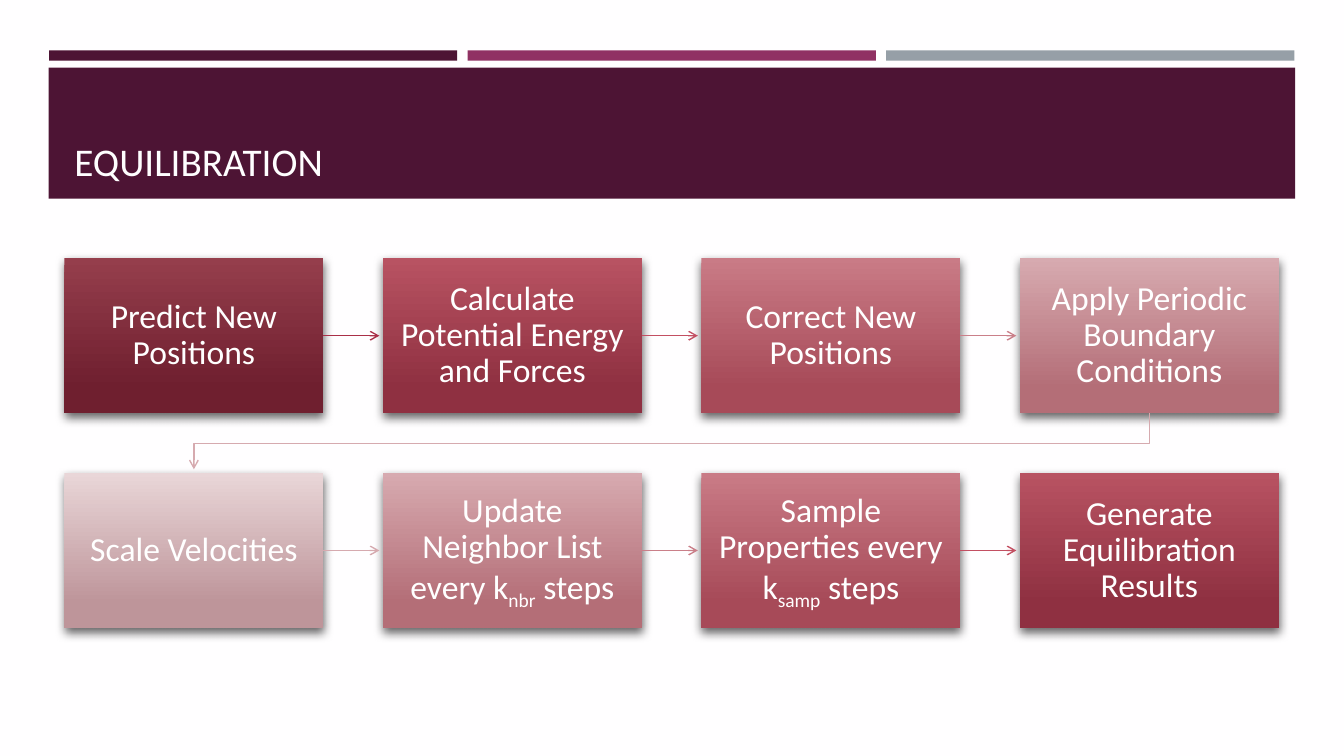
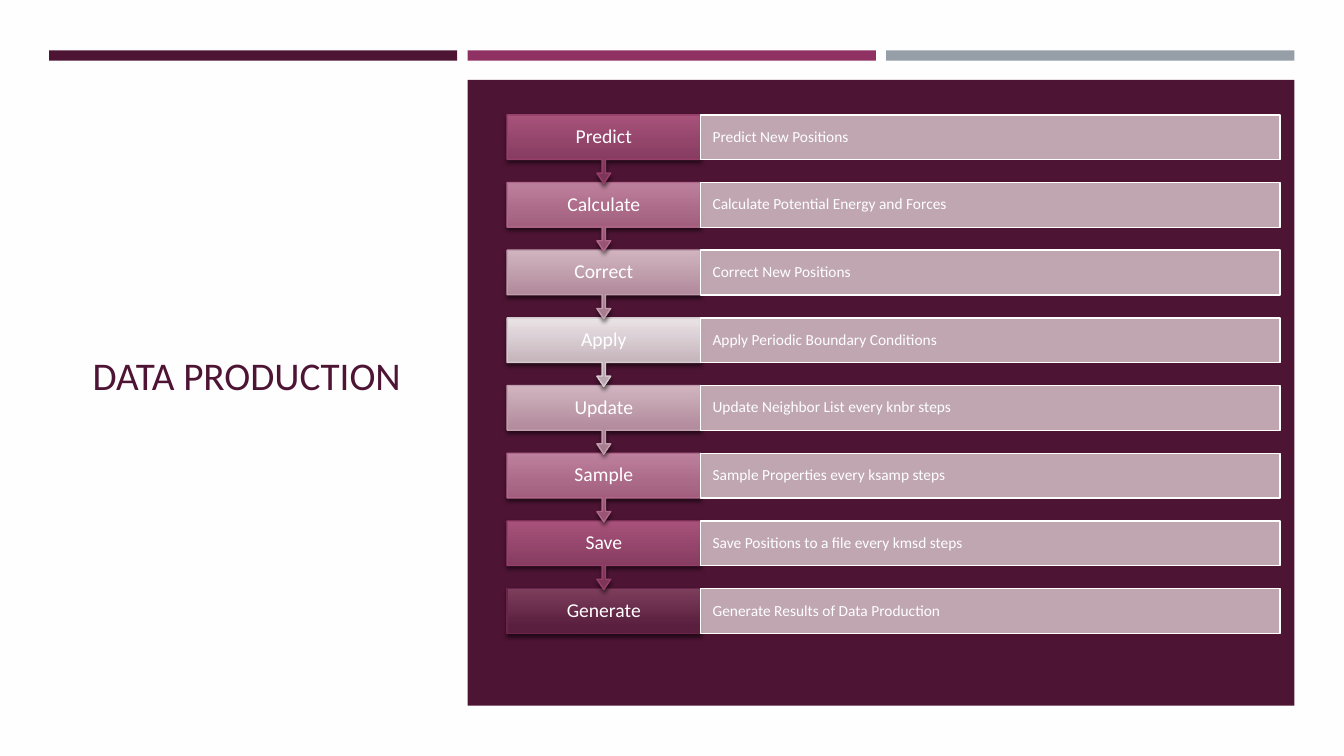
from lxml import etree
from pptx import Presentation
from pptx import util as u
from pptx.dml.color import RGBColor
from pptx.enum import shapes, text
from pptx.oxml.ns import qn

FONT = "Calibri"
PLUM, WHITE, PAPER, DETAIL = "4D1434", "FFFFFF", "FFFEFF", "CCB6BF"
BAND_COLOURS = (PLUM, "903163", "969FA7")
BAND_LEFT, BAND_TOP, BAND_WIDTH, BAND_PITCH = 35, 36, 291.6, 299

REDS = (("953E4C", "6F1F2F"), ("B85362", "8F3041"), ("C97B86", "A74A58"),
        ("D7AAB0", "B46E77"), ("E9D6D8", "BE959A"))
RED_LINES = ("AA3048", "C34F62", "CA7F89", "D6AAAF")
PURPLES = (("7C3E5B", "5A1E3E", "6B2449"), ("A7527A", "7D3558", "953F69"),
           ("BD809C", "985473", "B16789"), ("D0B4C0", "A87D8F", "C19CAC"),
           ("EAE3E6", "B9A6AE", "D7CACF"))

FLOW_STEPS = (
    (("Predict New Positions",), 0),
    (("Calculate Potential Energy and Forces",), 1),
    (("Correct New Positions",), 2),
    (("Apply Periodic Boundary Conditions",), 3),
    (("Scale Velocities",), 4),
    (("Update Neighbor List every k", "nbr", " steps"), 3),
    (("Sample Properties every k", "samp", " steps"), 2),
    (("Generate Equilibration Results",), 1),
)
FLOW_ARROWS = (0, 1, 2, 3, 3, 2, 1)
COLUMNS = 4
STEP_LEFT, STEP_TOP, STEP_WIDTH, STEP_HEIGHT = 46, 184.3, 185, 111
STEP_PITCH, ROW_PITCH, ARROW_GAP, BEND_DROP = 227.5, 153.4, 2.5, 21.6

STAGES = (
    ("Predict", "Predict New Positions", 1),
    ("Calculate", "Calculate Potential Energy and Forces", 2),
    ("Correct", "Correct New Positions", 3),
    ("Apply", "Apply Periodic Boundary Conditions", 4),
    ("Update", "Update Neighbor List every knbr steps", 3),
    ("Sample", "Sample Properties every ksamp steps", 2),
    ("Save", "Save Positions to a file every kmsd steps", 1),
    ("Generate", "Generate Results of Data Production", 0),
)
STAGE_LEFT, STAGE_TOP, STAGE_WIDTH, STAGE_HEIGHT = 362.2, 82, 138.2, 32
STAGE_PITCH, CALLOUT_HEIGHT, DETAIL_WIDTH = 48.35, 49, 414
CALLOUT_ADJUSTMENTS = (0.05, 0.1, 0.15, 0.65)


def colour(value):
    return RGBColor.from_string(value)


def points(*values):
    return [u.Pt(value) for value in values]


def add_box(page, place, fill=None, line=None, kind=shapes.MSO_SHAPE.RECTANGLE):
    box = page.shapes.add_shape(kind, *points(*place))
    box.shadow.inherit = False
    if fill:
        box.fill.solid()
        box.fill.fore_color.rgb = colour(fill)
    if line:
        box.line.color.rgb = colour(line)
        box.line.width = u.Pt(1)
    else:
        box.line.fill.background()
    return box


def shade(box, top, bottom):
    box.fill.gradient()
    box.fill.gradient_angle = 270
    for stop, value, position in zip(box.fill.gradient_stops, (top, bottom), (0, 0.84)):
        stop.color.rgb = colour(value)
        stop.position = position


def cast_shadow(box, opacity, blur, distance, angle):
    effects = box.element.spPr.find(qn("a:effectLst"))
    shadow = etree.SubElement(
        effects, qn("a:outerShdw"), blurRad=str(u.Pt(blur)), dist=str(u.Pt(distance)),
        dir=str(angle * 60000), algn="ctr", rotWithShape="0")
    black = etree.SubElement(shadow, qn("a:srgbClr"), val="000000")
    etree.SubElement(black, qn("a:alpha"), val=str(opacity * 1000))


def set_opacity(box, percent):
    solid = box.element.spPr.find(qn("a:solidFill"))
    etree.SubElement(solid[0], qn("a:alpha"), val=str(percent * 1000))


def write(box, parts, size, value=WHITE, align=text.PP_ALIGN.CENTER,
          anchor=text.MSO_ANCHOR.MIDDLE, margins=None, spacing=0.9):
    frame = box.text_frame
    frame.word_wrap = True
    frame.auto_size = text.MSO_AUTO_SIZE.NONE
    frame.vertical_anchor = anchor
    if margins:
        frame.margin_left = frame.margin_right = u.Pt(margins[0])
        frame.margin_top = frame.margin_bottom = u.Pt(margins[1])
    para = frame.paragraphs[0]
    para.alignment = align
    para.line_spacing = spacing
    for index, part in enumerate(parts):
        span = para.add_run()
        span.text = part
        span.font.name = FONT
        span.font.size = u.Pt(size)
        span.font.color.rgb = colour(value)
        if index % 2:
            span.font._element.set("baseline", "-25000")


def add_bands(page):
    for index, value in enumerate(BAND_COLOURS):
        left = BAND_LEFT + index * BAND_PITCH
        add_box(page, (left, BAND_TOP, BAND_WIDTH, 7.4), value)


def add_title(page, words, place, value, anchor):
    title = page.shapes.title
    title.left, title.top, title.width, title.height = points(*place)
    title.element.getparent().append(title.element)
    write(title, (words,), 28, value, text.PP_ALIGN.LEFT, anchor, spacing=1)


def start_page(deck, panel):
    page = deck.slides.add_slide(deck.slide_layouts[5])
    page.background.fill.solid()
    page.background.fill.fore_color.rgb = colour(PAPER)
    add_box(page, panel, PLUM)
    add_bands(page)
    return page


def point_line(line_shape, value):
    line_shape.line.color.rgb = colour(value)
    line_shape.line.width = u.Pt(1)
    outline = line_shape.element.spPr.find(qn("a:ln"))
    etree.SubElement(outline, qn("a:tailEnd"), type="arrow")


def add_straight_arrow(page, start, end, value):
    middle = start.top + start.height // 2
    arrow = page.shapes.add_connector(
        shapes.MSO_CONNECTOR.STRAIGHT, start.left + start.width, middle,
        end.left - u.Pt(ARROW_GAP), middle)
    arrow.begin_connect(start, 3)
    point_line(arrow, value)
    etree.SubElement(arrow.element.spPr, qn("a:effectLst"))


def add_return_arrow(page, start, end, value):
    right = start.left + start.width // 2
    left = end.left + end.width // 2
    bottom = start.top + start.height
    bend = bottom + u.Pt(BEND_DROP)
    builder = page.shapes.build_freeform(right, bottom)
    builder.add_line_segments(
        [(right, bend), (left, bend), (left, end.top - u.Pt(ARROW_GAP))], close=False)
    arrow = builder.convert_to_shape()
    arrow.fill.background()
    arrow.shadow.inherit = False
    point_line(arrow, value)


def add_step(page, index, parts, tone):
    row, column = divmod(index, COLUMNS)
    box = add_box(page, (STEP_LEFT + column * STEP_PITCH, STEP_TOP + row * ROW_PITCH,
                         STEP_WIDTH, STEP_HEIGHT))
    shade(box, *REDS[tone])
    cast_shadow(box, 60, 7, 3, 84)
    write(box, parts, 24, margins=(9.2, 9.2))
    return box


def add_stage(page, index, name, detail, tone):
    top = STAGE_TOP + index * STAGE_PITCH
    upper, lower, outline = PURPLES[tone]
    last = index == len(STAGES) - 1
    kind = shapes.MSO_SHAPE.RECTANGLE if last else shapes.MSO_SHAPE.DOWN_ARROW_CALLOUT
    height = STAGE_HEIGHT if last else CALLOUT_HEIGHT
    box = add_box(page, (STAGE_LEFT, top, STAGE_WIDTH, height), line=outline, kind=kind)
    if not last:
        for number, amount in enumerate(CALLOUT_ADJUSTMENTS):
            box.adjustments[number] = amount
    shade(box, upper, lower)
    cast_shadow(box, 55, 3, 2, 90)
    write(box, (name,), 14, margins=(10, 8))
    bar = add_box(page, (STAGE_LEFT + STAGE_WIDTH, top, DETAIL_WIDTH, STAGE_HEIGHT),
                  DETAIL, WHITE)
    set_opacity(bar, 90)
    write(bar, (detail,), 11, align=text.PP_ALIGN.LEFT, margins=(8.6, 8))


def build_equilibration(deck):
    page = start_page(deck, (34.8, 48.3, 890.4, 93.7))
    add_title(page, "EQUILIBRATION", (46, 55.4, 868, 80), PAPER, text.MSO_ANCHOR.BOTTOM)
    boxes = [add_step(page, index, *step) for index, step in enumerate(FLOW_STEPS)]
    for start, end, tone in zip(boxes, boxes[1:], FLOW_ARROWS):
        add_arrow = add_straight_arrow if start.top == end.top else add_return_arrow
        add_arrow(page, start, end, RED_LINES[tone])


def build_data_production(deck):
    page = start_page(deck, (334, 57, 590.6, 447))
    add_title(page, "DATA PRODUCTION", (59, 82, 240.5, 371), PLUM, text.MSO_ANCHOR.MIDDLE)
    for index, stage in reversed(list(enumerate(STAGES))):
        add_stage(page, index, *stage)


def main():
    deck = Presentation()
    deck.slide_width, deck.slide_height = points(960, 540)
    build_equilibration(deck)
    build_data_production(deck)
    deck.save("out.pptx")


if __name__ == "__main__":
    main()
